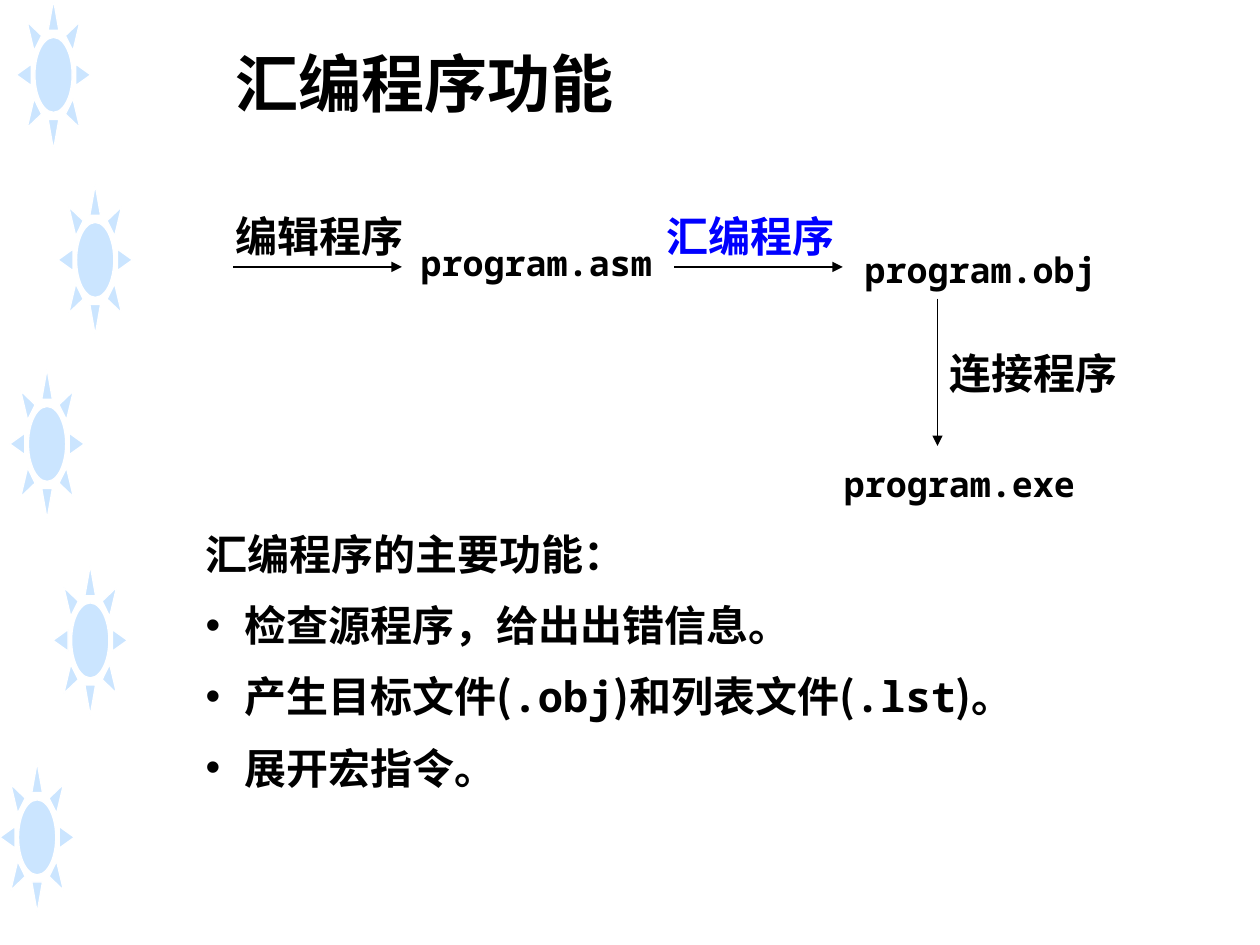
from pptx import Presentation
from pptx.dml.color import RGBColor
from pptx.enum.shapes import MSO_CONNECTOR as Link, MSO_SHAPE as Shape
from pptx.enum.text import MSO_ANCHOR as Anchor, MSO_AUTO_SIZE as AutoSize, PP_ALIGN as Align
from pptx.oxml.ns import qn
from pptx.util import Cm, Pt
from lxml.etree import SubElement

COLORS = {"text": "000000", "accent": "0000FF", "sun": "99CCFF", "outline": "FFFFFF"}
SERIF, SANS, MONO, HAN = "Times New Roman", "Arial", "Noto Sans Mono", "Noto Sans CJK SC"
BULLET_INDENT = Cm(0.79)


def rgb(name):
    return RGBColor.from_string(COLORS[name])


def apply_format(target, values):
    for name, value in values.items():
        setattr(target, name, value)


class SlideBuilder:
    """Holds the text style and the page being filled."""

    def __init__(self, page):
        self.page = page
        self.text_format = {"bold": True, "italic": False}

    def place(self, shape, left, top, width, height):
        apply_format(shape, {"left": Cm(left), "top": Cm(top),
                             "width": Cm(width), "height": Cm(height)})

    def add_span(self, para, text, font, size, color="text"):
        span = para.add_run()
        span.text = text
        apply_format(span.font, {**self.text_format, "name": font, "size": Pt(size)})
        span.font.color.rgb = rgb(color)
        SubElement(span.font._element, qn("a:ea")).set("typeface", HAN)

    def title(self, text, *bounds):
        shape = self.page.shapes.title
        self.place(shape, *bounds)
        apply_format(shape.text_frame, {"word_wrap": False, "auto_size": AutoSize.NONE,
                                        "vertical_anchor": Anchor.MIDDLE})
        para = shape.text_frame.paragraphs[0]
        apply_format(para, {"alignment": Align.LEFT, "line_spacing": Pt(43.2)})
        self.add_span(para, text, SANS, 36)

    def body(self, heading, items, *bounds):
        """Fill the body with a plain heading and bulleted items of (text, font) spans."""
        shape = self.page.placeholders[1]
        self.place(shape, *bounds)
        frame = shape.text_frame
        apply_format(frame, {"word_wrap": True, "auto_size": AutoSize.NONE,
                             "vertical_anchor": Anchor.TOP})
        for index, spans in enumerate([[(heading, SERIF)], *items]):
            para = frame.add_paragraph() if index else frame.paragraphs[0]
            apply_format(para, {"alignment": Align.LEFT, "line_spacing": Pt(28.8),
                                "space_before": Pt(12 if index else 0)})
            props = para._p.get_or_add_pPr()
            indent = BULLET_INDENT if index else 0
            props.set("marL", str(indent))
            props.set("indent", str(-indent))
            if index:
                SubElement(props, qn("a:buFont")).set("typeface", SANS)
                SubElement(props, qn("a:buChar")).set("char", "•")
            else:
                SubElement(props, qn("a:buNone"))
            for text, font in spans:
                self.add_span(para, text, font, 24)

    def label(self, text, left, top, width, height, font, size, color="text", spacing=None):
        box = self.page.shapes.add_textbox(Cm(left), Cm(top), Cm(width), Cm(height))
        box.text_frame.word_wrap = True
        para = box.text_frame.paragraphs[0]
        apply_format(para, {"alignment": Align.JUSTIFY, "line_spacing": spacing})
        self.add_span(para, text, font, size, color)

    def step(self, text, left, top, color="text"):
        self.label(text, left, top, 4.01, 1.27, SERIF, 24, color, Pt(28.8))

    def file_name(self, text, left, top):
        self.label(text, left, top, 5.6, 1.09, MONO, 20)

    def arrow(self, *ends):
        line = self.page.shapes.add_connector(Link.STRAIGHT, *map(Cm, ends))
        line.line.width = Pt(0.75)
        line.line.color.rgb = rgb("text")
        SubElement(line.line._get_or_add_ln(), qn("a:tailEnd")).set("type", "triangle")
        SubElement(line._element.spPr, qn("a:effectLst"))

    def sun(self, left, top):
        shape = self.page.shapes.add_shape(Shape.SUN, Cm(left), Cm(top), Cm(1.5), Cm(3.02))
        shape.shadow.inherit = False
        shape.fill.solid()
        shape.fill.fore_color.rgb = rgb("sun")
        tint = shape.fill._xPr.find(qn("a:solidFill"))[0]
        SubElement(tint, qn("a:alpha")).set("val", "50000")
        shape.line.color.rgb = rgb("outline")
        shape.line.width = Pt(0.75)


def main():
    deck = Presentation()
    apply_format(deck, {"slide_width": Cm(25.4), "slide_height": Cm(19.05)})
    builder = SlideBuilder(deck.slides.add_slide(deck.slide_layouts[1]))

    for left, top in [(0.33, 0), (1.17, 3.73), (0.2, 7.44), (1.07, 11.4), (0, 15.37)]:
        builder.sun(left, top)

    builder.title("汇编程序功能", 4.5, 0.76, 8.23, 1.8)

    builder.step("编辑程序", 4.5, 4.11)
    builder.step("汇编程序", 13.18, 4.11, "accent")
    builder.step("连接程序", 18.9, 6.88)
    builder.file_name("program.asm", 8.23, 4.75)
    builder.file_name("program.obj", 17.18, 4.88)
    builder.file_name("program.exe", 16.76, 9.19)
    for ends in [(4.7, 5.38, 8.1, 5.38), (13.59, 5.38, 16.99, 5.38), (18.9, 6.02, 18.9, 8.99)]:
        builder.arrow(*ends)

    builder.body("汇编程序的主要功能：", [
        [("检查源程序，给出出错信息。", HAN)],
        [("产生目标文件(", HAN), (".obj", MONO), (")和列表文件(", HAN),
         (".lst", MONO), (")。", HAN)],
        [("展开宏指令。", HAN)],
    ], 3.89, 10.52, 17.98, 5.84)

    deck.save("out.pptx")


if __name__ == "__main__":
    main()
